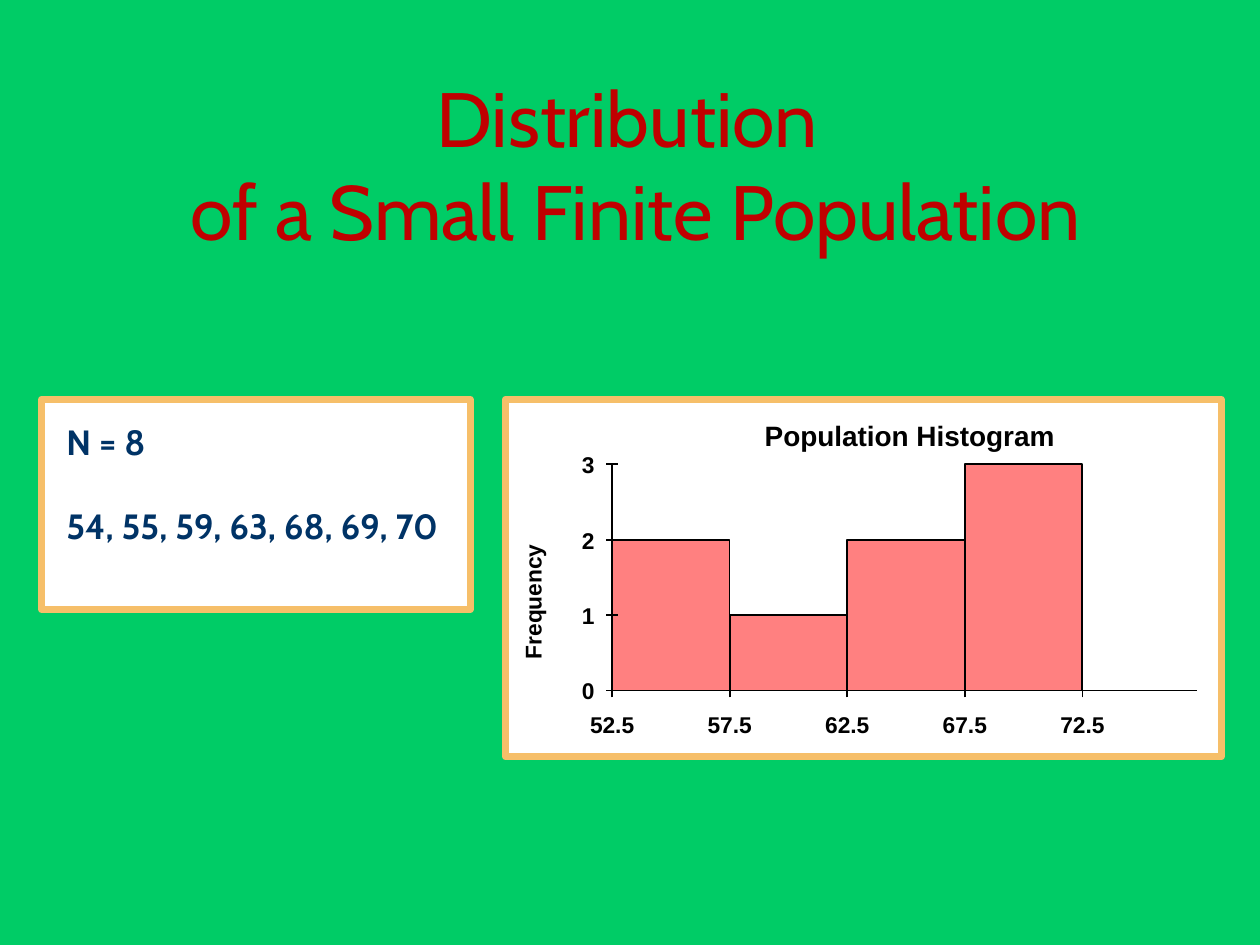
from dataclasses import dataclass

from lxml import etree
from pptx import Presentation
from pptx import util as u
from pptx.dml.color import RGBColor
from pptx.enum import shapes, text
from pptx.oxml import ns

GREEN = RGBColor(0x00, 0xCC, 0x66)
RED = RGBColor(0xC0, 0x00, 0x00)
NAVY = RGBColor(0x00, 0x33, 0x66)
ORANGE = RGBColor(0xF6, 0xBF, 0x69)
PINK = RGBColor(0xFF, 0x80, 0x80)
WHITE = RGBColor(0xFF, 0xFF, 0xFF)
BLACK = RGBColor(0x00, 0x00, 0x00)

# Histogram data and scale, lengths in centimetres
FREQUENCIES = [2, 1, 2, 3]
FIRST_BOUNDARY, CLASS_WIDTH = 52.5, 5
ORIGIN_X, ORIGIN_Y = 12.34, 13.92
BIN_STEP, COUNT_STEP = 2.37, 1.52
AXIS_END = 24.13


@dataclass(frozen=True)
class Box:
    left: float
    top: float
    width: float
    height: float

    def lengths(self) -> list[u.Cm]:
        return [u.Cm(v) for v in (self.left, self.top, self.width, self.height)]


@dataclass(frozen=True)
class Style:
    font: str
    size: float
    color: RGBColor
    bold: bool = True


TITLE = Style("Cabin", 44, RED, bold=False)
BODY = Style("Cabin", 20, NAVY)
HEADING = Style("Arial", 16, BLACK)
LABEL = Style("Arial", 13, BLACK)


def add_rectangle(slide, box: Box, fill: RGBColor, line: RGBColor, weight: float) -> None:
    shape = slide.shapes.add_shape(shapes.MSO_SHAPE.RECTANGLE, *box.lengths())
    shape.shadow.inherit = False
    shape.fill.solid()
    shape.fill.fore_color.rgb = fill
    shape.line.color.rgb = line
    shape.line.width = u.Pt(weight)


def add_line(slide, x1: float, y1: float, x2: float, y2: float) -> None:
    connector = slide.shapes.add_connector(
        shapes.MSO_CONNECTOR.STRAIGHT, u.Cm(x1), u.Cm(y1), u.Cm(x2), u.Cm(y2))
    connector.line.color.rgb = BLACK
    connector.line.width = u.Pt(1)
    properties = connector._element.spPr
    etree.SubElement(properties, ns.qn("a:effectLst"))


def add_run(paragraph, wording: str, style: Style) -> None:
    run = paragraph.add_run()
    run.text = wording
    run.font.name = style.font
    run.font.size = u.Pt(style.size)
    run.font.bold = style.bold
    run.font.color.rgb = style.color


def add_text_box(slide, box: Box, wrap: bool = True):
    shape = slide.shapes.add_textbox(*box.lengths())
    shape.text_frame.word_wrap = wrap
    return shape


def add_label(slide, center_x: float, center_y: float, width: float, wording: str,
              style: Style = LABEL, height: float = 0.79, rotation: float = 0) -> None:
    box = Box(center_x - width / 2, center_y - height / 2, width, height)
    shape = add_text_box(slide, box, wrap=False)
    shape.rotation = rotation
    paragraph = shape.text_frame.paragraphs[0]
    paragraph.alignment = text.PP_ALIGN.CENTER
    add_run(paragraph, wording, style)


def add_title(slide) -> None:
    frame = add_text_box(slide, Box(1.07, 1.7, 23.5, 3.18)).text_frame
    frame.vertical_anchor = text.MSO_ANCHOR.MIDDLE
    paragraph = frame.paragraphs[0]
    paragraph.alignment = text.PP_ALIGN.CENTER
    add_run(paragraph, "Distribution ", TITLE)
    paragraph.add_line_break()
    add_run(paragraph, "of a Small Finite Population", TITLE)


def add_histogram(slide) -> None:
    add_rectangle(slide, Box(10.19, 8.05, 14.43, 7.21), WHITE, ORANGE, 4)

    # Bars
    for index, frequency in enumerate(FREQUENCIES):
        height = frequency * COUNT_STEP
        bar = Box(ORIGIN_X + index * BIN_STEP, ORIGIN_Y - height, BIN_STEP, height)
        add_rectangle(slide, bar, PINK, BLACK, 1)

    # Frequency axis
    highest = max(FREQUENCIES)
    add_line(slide, ORIGIN_X, ORIGIN_Y - highest * COUNT_STEP, ORIGIN_X, ORIGIN_Y)
    for count in range(highest + 1):
        y = ORIGIN_Y - count * COUNT_STEP
        add_line(slide, ORIGIN_X - 0.12, y, ORIGIN_X + 0.12, y)
        add_label(slide, 11.86, y, 0.76, str(count))

    # Class boundary axis
    add_line(slide, ORIGIN_X, ORIGIN_Y, AXIS_END, ORIGIN_Y)
    for index in range(len(FREQUENCIES) + 1):
        x = ORIGIN_X + index * BIN_STEP
        add_line(slide, x, ORIGIN_Y + 0.14, x, ORIGIN_Y - 0.14)
        add_label(slide, x, 14.6, 1.4, str(FIRST_BOUNDARY + index * CLASS_WIDTH))

    # Heading and axis name
    add_label(slide, 18.34, 8.76, 6.38, "Population Histogram", HEADING, height=0.91)
    add_label(slide, 10.73, 12.13, 2.82, "Frequency", rotation=270)


def add_population(slide) -> None:
    add_rectangle(slide, Box(0.84, 8.05, 8.64, 4.24), WHITE, ORANGE, 4)
    frame = add_text_box(slide, Box(1.09, 8.36, 8.18, 3.63)).text_frame
    add_run(frame.paragraphs[0], "N = 8", BODY)
    values = frame.add_paragraph()
    values.space_before = u.Pt(24)
    add_run(values, "54, 55, 59, 63, 68, 69, 70", BODY)


def main() -> None:
    presentation = Presentation()
    presentation.slide_width = u.Cm(25.4)
    presentation.slide_height = u.Cm(19.05)
    slide = presentation.slides.add_slide(presentation.slide_layouts[6])
    slide.background.fill.solid()
    slide.background.fill.fore_color.rgb = GREEN

    add_title(slide)
    add_histogram(slide)
    add_population(slide)
    presentation.save("out.pptx")


if __name__ == "__main__":
    main()
